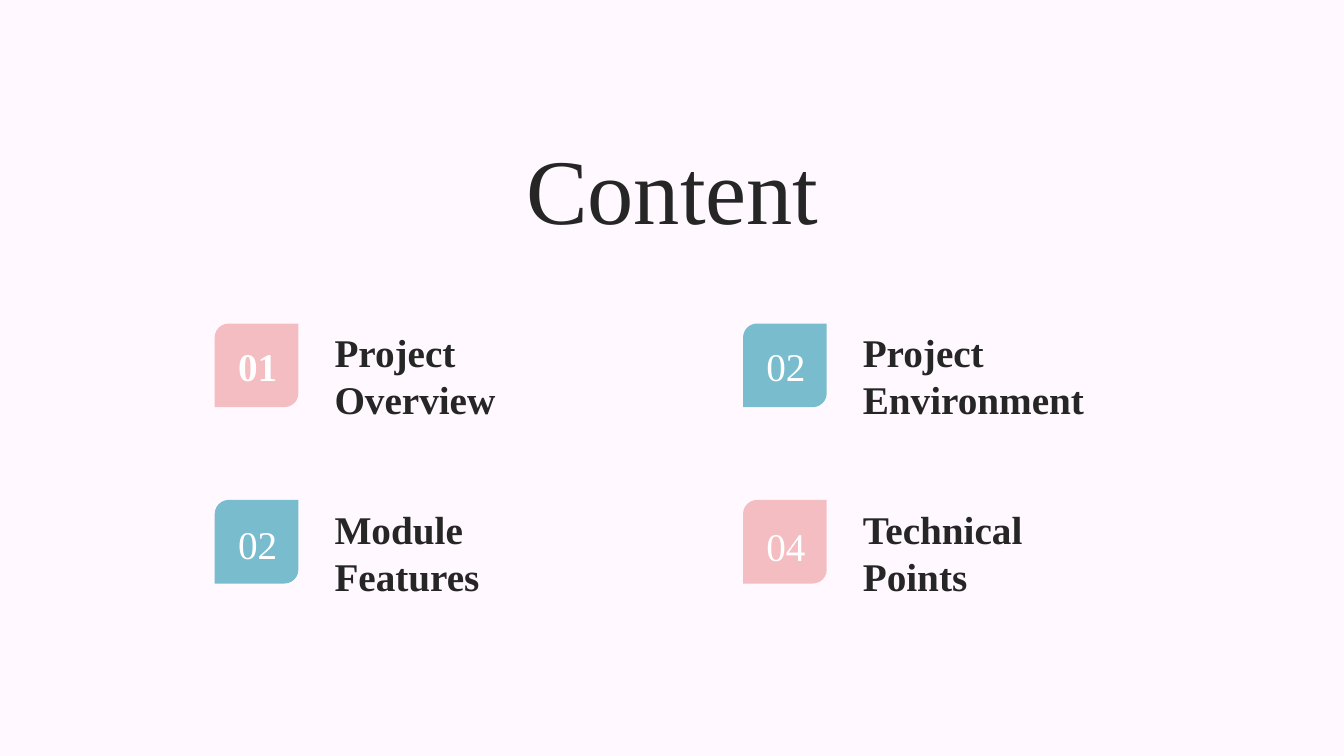
import pptx
import pptx.util
import pptx.dml.color
import pptx.enum.shapes
import pptx.enum.text

Inches = pptx.util.Inches
COLORS = {"background": "FFF9FF", "ink": "262626", "white": "FFFFFF",
          "pink": "F4BDC2", "blue": "78BCCE"}
COLUMNS = (2.13, 7.37)
ROWS = (3.21, 4.96)
TILE = 0.83
TOPICS = [
    ("01", True, "pink", 0.14, ("Project", "Overview"), 1.8),
    ("02", False, "blue", 0.14, ("Project", "Environment"), 2.5),
    ("02", False, "blue", 0.15, ("Module", "Features"), 1.74),
    ("04", False, "pink", 0.17, ("Technical", "Points"), 1.92),
]


class ContentSlide:
    """Draws the content slide in one shared style."""

    font = "Times New Roman"

    def __init__(self, deck):
        self.slide = deck.slides.add_slide(deck.slide_layouts[6])
        backdrop = self.slide.background.fill
        backdrop.solid()
        backdrop.fore_color.rgb = self.color("background")

    def color(self, name):
        return pptx.dml.color.RGBColor.from_string(COLORS[name])

    def text(self, shapes, lines, left, top, width, height, size=28,
             color="ink", bold=False, centered=True, wrap=True):
        box = shapes.add_textbox(Inches(left), Inches(top), Inches(width), Inches(height))
        frame = box.text_frame
        frame.word_wrap = wrap
        frame.auto_size = pptx.enum.text.MSO_AUTO_SIZE.SHAPE_TO_FIT_TEXT
        frame.text = "\n".join(lines)
        align = pptx.enum.text.PP_ALIGN
        for paragraph in frame.paragraphs:
            paragraph.alignment = align.CENTER if centered else align.LEFT
            paragraph.font.name = self.font
            paragraph.font.size = pptx.util.Pt(size)
            paragraph.font.bold = bold
            paragraph.font.color.rgb = self.color(color)

    def tile(self, shapes, left, top, color):
        tile = shapes.add_shape(
            pptx.enum.shapes.MSO_SHAPE.ROUND_2_DIAG_RECTANGLE,
            Inches(left), Inches(top), Inches(TILE), Inches(TILE))
        tile.shadow.inherit = False
        tile.fill.solid()
        tile.fill.fore_color.rgb = self.color(color)
        tile.line.fill.background()

    def topic(self, left, top, number, bold, color, number_drop, label, label_width):
        shapes = self.slide.shapes.add_group_shape().shapes
        self.tile(shapes, left, top, color)
        self.text(shapes, [number], left + 0.04, top + number_drop, 0.77, 0.57,
                  color="white", bold=bold)
        self.text(shapes, label, left + 1.09, top, label_width, 1.04,
                  bold=True, centered=False, wrap=False)


def main():
    deck = pptx.Presentation()
    deck.slide_width, deck.slide_height = Inches(13.33), Inches(7.5)
    content = ContentSlide(deck)
    content.text(content.slide.shapes, ["Content"], 4.95, 1.26, 3.44, 1.21, size=66)
    for index, topic in enumerate(TOPICS):
        row, column = divmod(index, len(COLUMNS))
        content.topic(COLUMNS[column], ROWS[row], *topic)
    deck.save("out.pptx")


if __name__ == "__main__":
    main()
